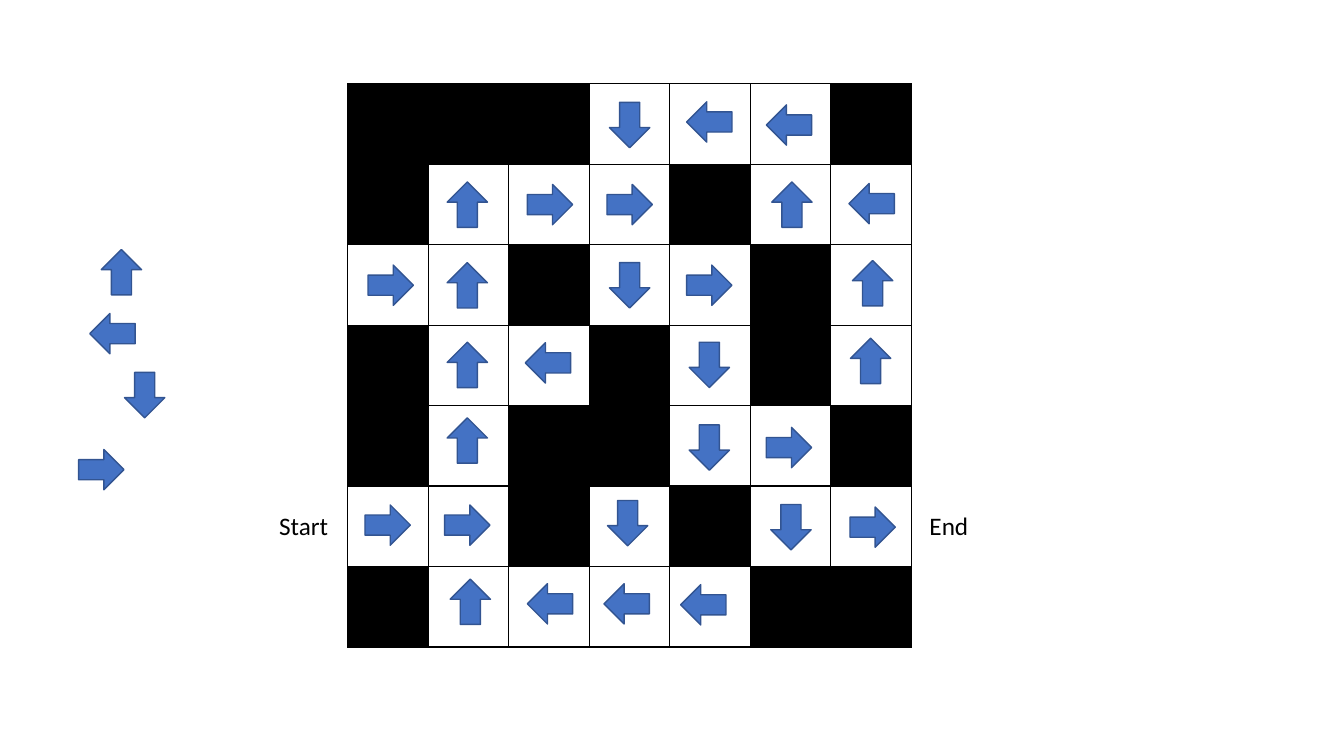
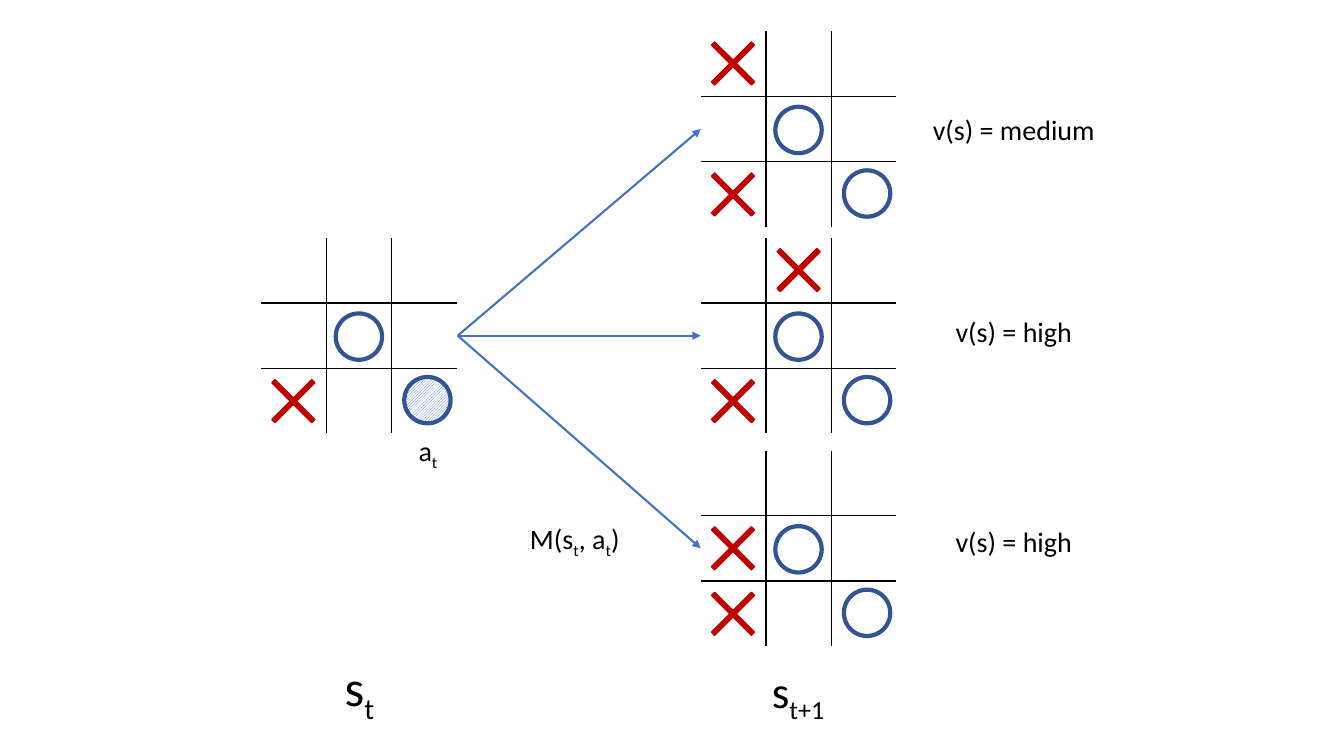
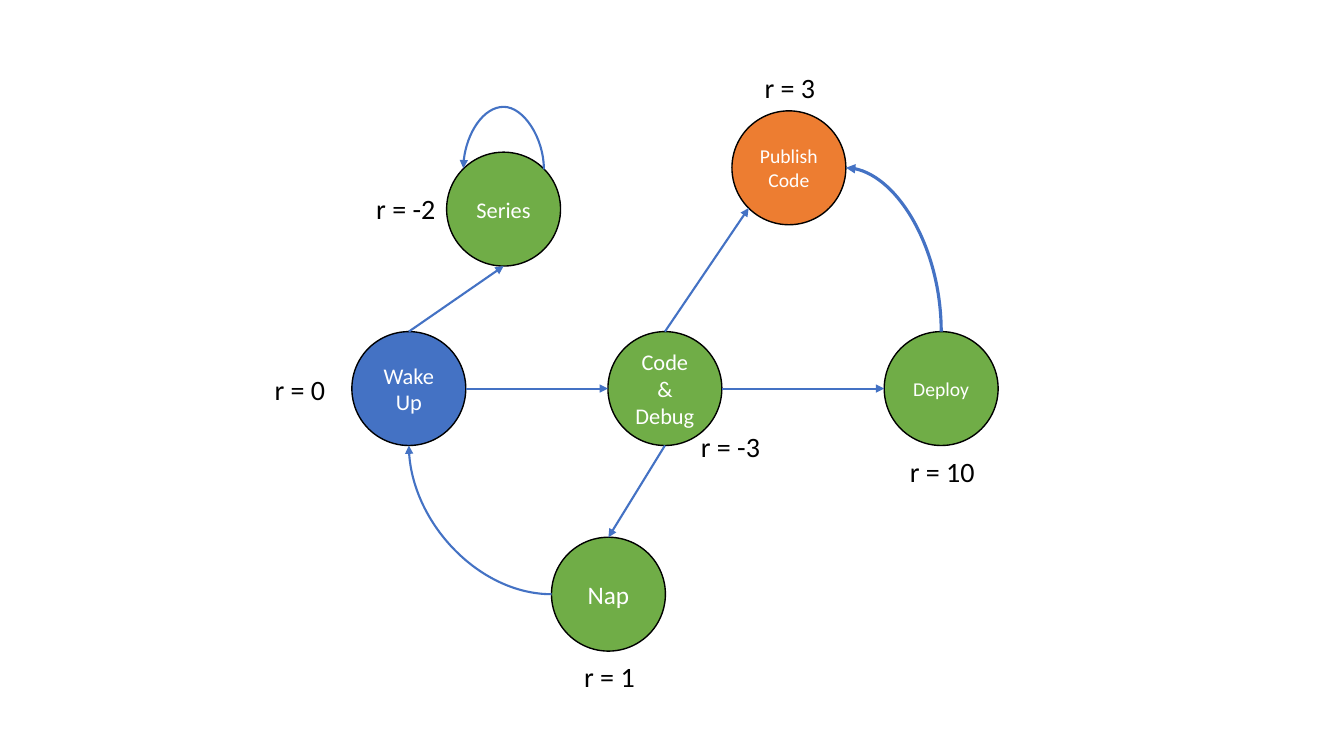
import math
import lxml.etree
import pptx
import pptx.util
import pptx.dml.color
import pptx.enum.dml
import pptx.enum.shapes
import pptx.enum.text
import pptx.oxml.ns

Inches = pptx.util.Inches
Pt = pptx.util.Pt
RGBColor = pptx.dml.color.RGBColor
SHAPE = pptx.enum.shapes.MSO_SHAPE
CONNECTOR = pptx.enum.shapes.MSO_CONNECTOR
ANCHOR = pptx.enum.text.MSO_ANCHOR
ALIGN = pptx.enum.text.PP_ALIGN
qn = pptx.oxml.ns.qn
SubElement = lxml.etree.SubElement

BLACK = RGBColor(0x00, 0x00, 0x00)
WHITE = RGBColor(0xFF, 0xFF, 0xFF)
BLUE = RGBColor(0x44, 0x72, 0xC4)
NAVY = RGBColor(0x32, 0x54, 0x91)
RED = RGBColor(0xC0, 0x00, 0x00)
GREEN = RGBColor(0x70, 0xAD, 0x47)
ORANGE = RGBColor(0xED, 0x7D, 0x31)
FONT = "Calibri"


def draw_shape(page, kind, box, fill, line, weight=1, rotation=0):
    shape = page.shapes.add_shape(kind, *map(Inches, box))
    shape.shadow.inherit = False
    shape.rotation = rotation
    if fill is None:
        shape.fill.background()
    else:
        shape.fill.solid()
        shape.fill.fore_color.rgb = fill
    shape.line.color.rgb = line
    shape.line.width = Pt(weight)
    return shape


def write_text(box, spans, size, color=BLACK, align=ALIGN.CENTER, **frame_format):
    frame = box.text_frame
    for name, value in {"word_wrap": True, **frame_format}.items():
        setattr(frame, name, value)
    para = frame.paragraphs[0]
    para.alignment = align
    for index, text in enumerate(spans):
        span = para.add_run()
        span.text = text
        for name, value in {"name": FONT, "size": Pt(size)}.items():
            setattr(span.font, name, value)
        span.font.color.rgb = color
        if index % 2:
            span._r.get_or_add_rPr().set("baseline", "-25000")


deck = pptx.Presentation()
deck.slide_width = Inches(13.33)
deck.slide_height = Inches(7.5)
maze_page, game_page, graph_page = [
    deck.slides.add_slide(deck.slide_layouts[6]) for _ in range(3)
]

MAZE = ["###...#", "#...#..", "..#..#.", "#..#.#.", "#.##..#", "..#.#..", "#....##"]
BOARD = ["   "] * 3
CELL_FILLS = {"#": BLACK, ".": WHITE}
BOARD_SIDE = 1.94
BOARDS = [
    (2.59, 2.36, [(0, 2)]),
    (6.95, 0.31, [(0, 2), (0, 0)]),
    (6.95, 2.36, [(0, 2), (1, 0)]),
    (6.95, 4.47, [(0, 2), (0, 1)]),
]

grids = [(maze_page, 3.45, 0.83, 5.59, MAZE, True)]
grids += [(game_page, left, top, BOARD_SIDE, BOARD, False) for left, top, _ in BOARDS]
for page, left, top, side, pattern, framed in grids:
    count = len(pattern)
    table = page.shapes.add_table(
        count, count, Inches(left), Inches(top), Inches(side), Inches(side)
    ).table
    table.first_row = table.horz_banding = False
    for index in range(count):
        table.columns[index].width = table.rows[index].height = Inches(side / count)
    for row, marks in enumerate(pattern):
        for column, mark in enumerate(marks):
            cell = table.cell(row, column)
            edges = {
                "a:lnL": column > 0,
                "a:lnR": column < count - 1,
                "a:lnT": row > 0,
                "a:lnB": row < count - 1,
            }
            properties = cell._tc.get_or_add_tcPr()
            for tag, inner in edges.items():
                edge = SubElement(properties, qn(tag), w=str(Pt(1)))
                if framed or inner:
                    ink = SubElement(edge, qn("a:solidFill"))
                    SubElement(ink, qn("a:srgbClr"), val=str(BLACK))
                else:
                    SubElement(edge, qn("a:noFill"))
            if mark in CELL_FILLS:
                cell.fill.solid()
                cell.fill.fore_color.rgb = CELL_FILLS[mark]
            else:
                cell.fill.background()

MOVES = {
    0: [(0.78, 4.46), (3.62, 5.01), (4.41, 5.01), (5.23, 1.83), (6.02, 1.83),
        (6.81, 2.63), (7.6, 4.24), (8.43, 5.03), (3.65, 2.63)],
    90: [(1.21, 3.72), (6.02, 2.63), (6.81, 3.42), (6.81, 4.24), (7.62, 5.03),
         (6, 4.99), (6.02, 1.04)],
    180: [(0.89, 3.11), (5.23, 5.79), (5.99, 5.79), (6.75, 5.8), (6.81, 1.01),
          (7.6, 1.04), (8.42, 1.82), (5.21, 3.4)],
    270: [(0.98, 2.5), (4.41, 4.17), (4.41, 3.42), (4.41, 2.63), (4.41, 1.83),
          (4.44, 5.77), (7.63, 1.83), (8.43, 2.61), (8.41, 3.38)],
}
for rotation, places in MOVES.items():
    for left, top in places:
        draw_shape(maze_page, SHAPE.RIGHT_ARROW, (left, top, 0.45, 0.4), BLUE, NAVY,
                   rotation=rotation)

for left, top, crosses in BOARDS:
    for across, down in [(0.74, 0.75), (1.42, 1.38)]:
        ring = draw_shape(game_page, SHAPE.OVAL, (left + across, top + down, 0.46, 0.46),
                          None, NAVY, 3)
        if (left, across) == (2.59, 1.42):
            ring.fill.patterned()
            ring.fill.pattern = pptx.enum.dml.MSO_PATTERN.DARK_UPWARD_DIAGONAL
            ring.fill.fore_color.rgb = BLUE
            ring.fill.back_color.rgb = WHITE
    for column, row in crosses:
        place = (left + 0.04 + 0.65 * column, top + 0.04 + 0.65 * row, 0.56, 0.56)
        cross = draw_shape(game_page, SHAPE.CROSS, place, RED, RED, rotation=45)
        cross.adjustments[0] = 0.46

DIAMETER = 1.13
STATES = {
    "Code & Debug": (6.03, 3.29, GREEN, 16),
    "Deploy": (8.77, 3.29, GREEN, 14),
    "Series": (4.43, 1.51, GREEN, 16),
    "Wake Up": (3.49, 3.29, BLUE, 16),
    "Nap": (5.47, 5.33, GREEN, 18),
    "Publish Code": (7.26, 1.1, ORANGE, 14),
}
circles = {}
for name, (left, top, fill, size) in STATES.items():
    circle = draw_shape(graph_page, SHAPE.OVAL, (left, top, DIAMETER, DIAMETER), fill, BLACK)
    write_text(circle, [name], size, WHITE, vertical_anchor=ANCHOR.MIDDLE)
    circles[name] = circle

TOP, TOP_LEFT, LEFT, BOTTOM_LEFT, BOTTOM, _, RIGHT, TOP_RIGHT = range(8)
STEPS = [
    ("Wake Up", TOP, "Series", BOTTOM, None, 0, 1.5),
    ("Wake Up", RIGHT, "Code & Debug", LEFT, None, 0, 1.5),
    ("Code & Debug", RIGHT, "Deploy", LEFT, None, 0, 1.5),
    ("Code & Debug", BOTTOM, "Nap", TOP, None, 0, 1.5),
    ("Code & Debug", TOP, "Publish Code", BOTTOM_LEFT, None, 0, 1.5),
    ("Series", TOP_RIGHT, "Series", TOP_LEFT, "curvedConnector3", 270, 1.5),
    ("Nap", LEFT, "Wake Up", BOTTOM, "curvedConnector2", 180, 1.5),
    ("Deploy", TOP, "Publish Code", RIGHT, "curvedConnector2", 270, 2.25),
]
arrows = [(game_page, (4.54, 3.33), (6.95, end), None, 0, 1.5, [])
          for end in (1.28, 3.33, 5.44)]
for source, source_site, target, target_site, curve, rotation, weight in STEPS:
    points = []
    for name, site in [(source, source_site), (target, target_site)]:
        left, top = STATES[name][:2]
        angle = math.radians(45 * site)
        points.append((left + DIAMETER / 2 * (1 - math.sin(angle)),
                       top + DIAMETER / 2 * (1 - math.cos(angle))))
    joints = [("a:stCxn", circles[source], source_site),
              ("a:endCxn", circles[target], target_site)]
    arrows.append((graph_page, *points, curve, rotation, weight, joints))

for page, start, end, curve, rotation, weight, joints in arrows:
    if curve:
        width, height = [max(abs(a - b), 0.01) for a, b in zip(start, end)]
        if rotation == 270:
            width, height = height, width
        middle_x, middle_y = [(a + b) / 2 for a, b in zip(start, end)]
        start = (middle_x - width / 2, middle_y - height / 2)
        end = (middle_x + width / 2, middle_y + height / 2)
    kind = CONNECTOR.CURVE if curve else CONNECTOR.STRAIGHT
    arrow = page.shapes.add_connector(kind, *map(Inches, start + end))
    arrow.line.color.rgb = BLUE
    arrow.line.width = Pt(weight)
    properties = arrow.element.spPr
    SubElement(properties.find(qn("a:ln")), qn("a:tailEnd"), type="triangle")
    SubElement(properties, qn("a:effectLst"))
    if curve:
        turn = properties.find(qn("a:xfrm"))
        turn.set("rot", str(rotation * 60000))
        if rotation == 270:
            turn.set("flipV", "1")
        geometry = properties.find(qn("a:prstGeom"))
        geometry.set("prst", curve)
        if curve == "curvedConnector3":
            guides = geometry.find(qn("a:avLst"))
            SubElement(guides, qn("a:gd"), name="adj1", fmla="val 6300000")
    links = arrow.element.xpath(".//p:cNvCxnSpPr")[0]
    for tag, circle, site in joints:
        SubElement(links, qn(tag), id=str(circle.shape_id), idx=str(site))

MIDDLE = {"vertical_anchor": ANCHOR.MIDDLE}
UNWRAPPED = {"word_wrap": False, "align": ALIGN.LEFT}
LABELS = [
    (maze_page, (2.67, 5.01, 0.69, 0.4), ["Start"], 18, UNWRAPPED),
    (maze_page, (9.12, 5.01, 0.59, 0.4), ["End"], 18, UNWRAPPED),
    (game_page, (2.89, 6.5, 1.35, 0.71), ["s", "t"], 36, MIDDLE),
    (game_page, (7.24, 6.57, 1.35, 0.64), ["s", "t+1"], 32, MIDDLE),
    (game_page, (5.06, 5.12, 1.28, 0.44), ["M(s", "t", ", a", "t", ")"], 20, {}),
    (game_page, (3.83, 4.27, 0.83, 0.44), ["a", "t"], 20, MIDDLE),
]
for top, value in [(1.06, "medium"), (3.07, "high"), (5.15, "high")]:
    LABELS.append((game_page, (9.09, top, 1.93, 0.44), [f"v(s) = {value}"], 20, MIDDLE))
REWARDS = [(7.26, 0.65, 3), (8.77, 4.46, 10), (6.67, 4.21, -3),
           (5.47, 6.49, 1), (2.4, 3.65, 0), (3.45, 1.85, -2)]
for left, top, reward in REWARDS:
    LABELS.append((graph_page, (left, top, 1.15, 0.44), [f"r = {reward}"], 20, {}))

for page, place, spans, size, label_format in LABELS:
    box = page.shapes.add_textbox(*map(Inches, place))
    write_text(box, spans, size, auto_size=pptx.enum.text.MSO_AUTO_SIZE.SHAPE_TO_FIT_TEXT,
               **label_format)

deck.save("out.pptx")
